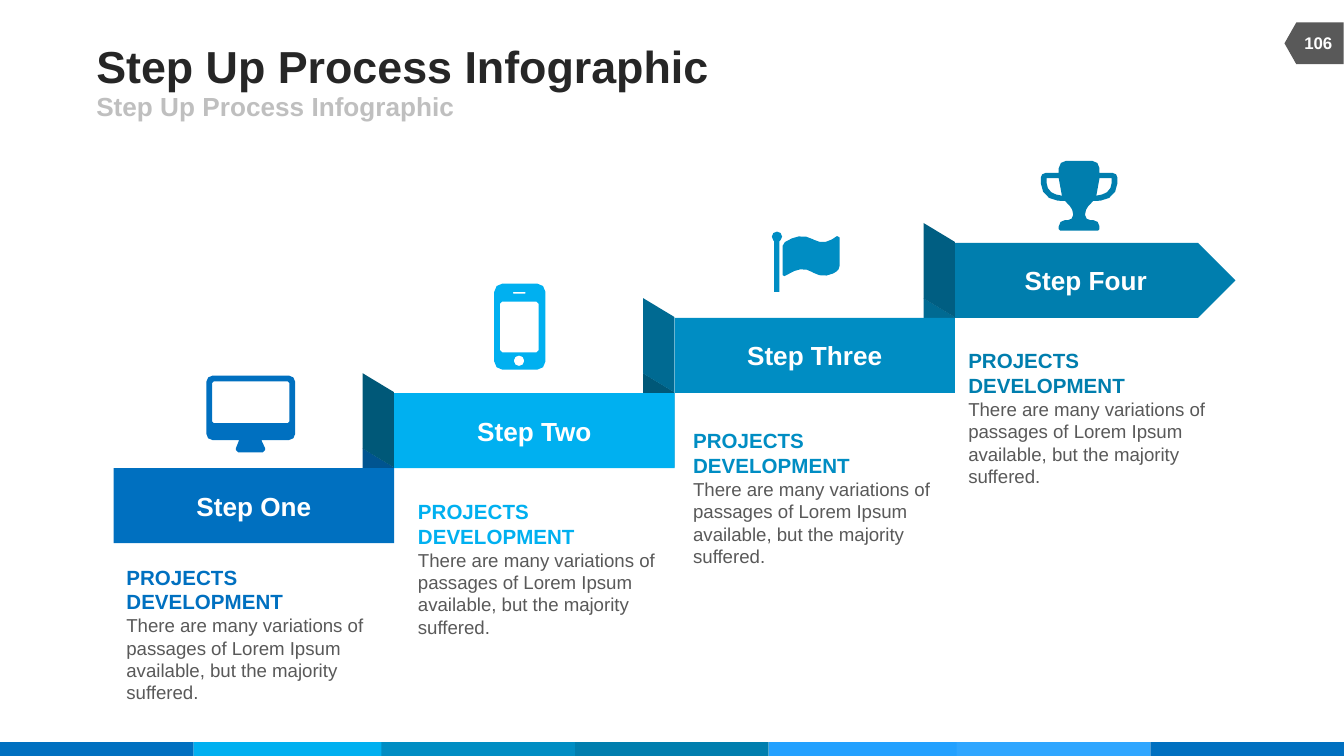
from math import hypot

from lxml import etree
from pptx import Presentation
from pptx.dml.color import RGBColor
from pptx.enum import shapes, text
from pptx.oxml import ns
from pptx.util import Cm, Pt

HUES = {
    "blue": "0070C0", "sky": "00B0F0", "teal": "008DC3", "deep": "007EAE",
    "light": "23A1FF", "pale": "2FA6FF",
    "blue fold": "005490", "sky fold": "005878",
    "teal fold": "006A92", "deep fold": "005E82",
    "ink": "262626", "gray": "595959", "mist": "BFBFBF", "white": "FFFFFF",
}
KIND = shapes.MSO_SHAPE
MID = text.MSO_ANCHOR.MIDDLE
LEFT, CENTER = text.PP_ALIGN.LEFT, text.PP_ALIGN.CENTER


def paint(shape, hue):
    shape.shadow.inherit = False
    shape.fill.solid()
    shape.fill.fore_color.rgb = RGBColor.from_string(HUES[hue])
    shape.line.fill.background()


def write(par, words, size, hue, bold=True, align=LEFT):
    par.alignment = align
    run = par.add_run()
    run.text = words
    run.font.name = "Arial"
    run.font.size = Pt(size)
    run.font.bold = bold
    run.font.color.rgb = RGBColor.from_string(HUES[hue])


# Icon outlines: corners as (x, y, radius) in millimetres
monitor = [
    [(0, 0, 1.2), (16.8, 0, 1.2), (16.8, 12.2, 1.2), (10.4, 12.2, 0),
     (11.1, 13.7, 0), (11.1, 14.5, 0.4), (5.6, 14.5, 0.4), (5.6, 13.7, 0),
     (6.2, 12.2, 0), (0, 12.2, 1.2)],
    [(1.1, 1.1, 0.3), (15.7, 1.1, 0.3), (15.7, 9, 0.3), (1.1, 9, 0.3)],
]
phone = [
    [(0, 0, 1.6), (9.7, 0, 1.6), (9.7, 16.3, 1.6), (0, 16.3, 1.6)],
    [(1.1, 3.4, 0.4), (8.4, 3.4, 0.4), (8.4, 13, 0.4), (1.1, 13, 0.4)],
    [(3.6, 1.6, 0), (5.9, 1.6, 0), (5.9, 1.9, 0), (3.6, 1.9, 0)],
    [(3.7, 13.6, 1), (5.7, 13.6, 1), (5.7, 15.6, 1), (3.7, 15.6, 1)],
]
flag = [
    [(0, 0, 0.9), (1.9, 0, 0.9), (1.9, 1.4, 0.4), (1.4, 1.8, 0),
     (1.4, 11.4, 0), (0.4, 11.4, 0), (0.4, 1.8, 0), (0, 1.4, 0.4)],
    [(2, 2.2, 0.5), (5.8, 0.2, 2.3), (9.6, 2.6, 2), (12.8, 0.5, 0.6),
     (12.8, 7.2, 0.8), (9.6, 9, 2.2), (6, 6.5, 2), (2, 8.6, 0.4)],
]
half = [(11.1, 0, 1.4), (11.1, 2.3, 0), (14.5, 2.3, 0.9), (14.5, 7.4, 3.2),
        (9.9, 7.6, 0), (8.4, 9.2, 0.8), (8.4, 11.2, 0.9),
        (11.1, 11.2, 1.2), (11.1, 13.2, 0.3)]
grip = [(13.4, 3.3, 0), (11.1, 3.3, 0), (10.5, 6.6, 0), (13.4, 6, 1.8)]
flip = [[(14.5 - x, y, r) for x, y, r in reversed(side)]
        for side in (half, grip)]
trophy = [half + flip[0], grip, flip[1]]

# Name, hue, text corner, icon, icon corner
steps = [
    ("Step One", "blue", (2.14, 10.55), monitor, (3.9, 7.1)),
    ("Step Two", "sky", (7.65, 9.31), phone, (9.34, 5.36)),
    ("Step Three", "teal", (12.85, 7.97), flag, (14.59, 4.38)),
    ("Step Four", "deep", (18.05, 6.46), trophy, (19.67, 3.04)),
]

deck = Presentation()
deck.slide_width, deck.slide_height = Cm(25.4), Cm(14.29)
slide = deck.slides.add_slide(deck.slide_layouts[1])
items = slide.shapes

# Bottom stripe
tones = ["blue", "sky", "teal", "deep", "light", "pale", "blue"]
lefts = [0, 3.66, 7.21, 10.87, 14.53, 18.08, 21.74]
for left, tone in zip(lefts, tones):
    paint(items.add_shape(KIND.RECTANGLE, Cm(left), Cm(14.03),
                          Cm(3.66), Cm(0.26)), tone)

# Page tag
tag = items.add_shape(KIND.FLOWCHART_OFFPAGE_CONNECTOR,
                      Cm(24.44), Cm(0.26), Cm(0.79), Cm(1.12))
tag.rotation = 90
paint(tag, "gray")
page = items.add_textbox(Cm(24.38), Cm(0.43), Cm(1.07), Cm(0.76)).text_frame
page.margin_left = page.margin_right = 0
page.word_wrap = True
page.vertical_anchor = MID
write(page.paragraphs[0], "106", 9, "white", align=CENTER)

# Headings
heads = [(slide.shapes.title, 0.74, 15.67, 0.99, 24, "ink"),
         (slide.placeholders[1], 1.73, 11.43, 0.56, 14, "mist")]
for head, top, wide, high, size, hue in heads:
    head.left, head.top = Cm(1.82), Cm(top)
    head.width, head.height = Cm(wide), Cm(high)
    frame = head.text_frame
    frame.margin_left = frame.margin_right = 0
    frame.margin_top = frame.margin_bottom = 0
    frame.word_wrap = True
    frame.auto_size = text.MSO_AUTO_SIZE.NONE
    frame.vertical_anchor = MID
    par = frame.paragraphs[0]
    props = par._p.get_or_add_pPr()
    props.set("marL", "0")
    props.set("indent", "0")
    etree.SubElement(props, ns.qn("a:buNone"))
    par.space_before = Pt(0)
    write(par, "Step Up Process Infographic", size, hue)

# Stairs
wide, high = 5.3, 1.42
for i, (name, hue, spot, icon, place) in enumerate(steps):
    first, last = i == 0, i == len(steps) - 1
    left, top = 2.15 + wide * i, 8.85 - high * i
    folds = ([] if first else [left]) + ([] if last else [left + wide])
    for edge in folds:
        fold = items.add_shape(KIND.FLOWCHART_DATA, Cm(edge - 1.19),
                               Cm(top + 0.22), Cm(1.78), Cm(0.59))
        fold.rotation = 270
        paint(fold, hue + " fold")
    box = items.add_shape(KIND.PENTAGON if last else KIND.RECTANGLE,
                          Cm(left), Cm(top), Cm(wide), Cm(high))
    paint(box, hue)
    box.text_frame.vertical_anchor = MID
    write(box.text_frame.paragraphs[0], name, 14, "white", align=CENTER)

    note = items.add_textbox(*map(Cm, spot), Cm(5.26), Cm(3)).text_frame
    note.word_wrap = True
    note.auto_size = text.MSO_AUTO_SIZE.SHAPE_TO_FIT_TEXT
    write(note.paragraphs[0], "PROJECTS DEVELOPMENT", 11, hue)
    write(note.add_paragraph(), "There are many variations of passages of "
          "Lorem Ipsum available, but the majority suffered.",
          10, "gray", bold=False)

    pen = None
    for loop in icon:
        dots = []
        for j, (x, y, r) in enumerate(loop):
            arms = []
            for nx, ny, _ in (loop[j - 1], loop[(j + 1) % len(loop)]):
                part = r / hypot(nx - x, ny - y)
                arms.append(((nx - x) * part, (ny - y) * part))
            (ax, ay), (bx, by) = arms
            cuts = 3 if r > 1.7 else 2 if r > 0.7 else 1
            for k in range(cuts + 1 if r else 1):
                t = k / cuts
                a = (1 - t) ** 3 + 1.35 * t * (1 - t) ** 2
                b = t ** 3 + 1.35 * t ** 2 * (1 - t)
                dots.append((100 * (x + a * ax + b * bx),
                             100 * (y + a * ay + b * by)))
        if pen:
            pen.move_to(*dots[0])
        else:
            pen = items.build_freeform(*dots[0], scale=Cm(0.001))
        pen.add_line_segments(dots[1:], close=True)
    paint(pen.convert_to_shape(*map(Cm, place)), hue)

deck.save("out.pptx")
